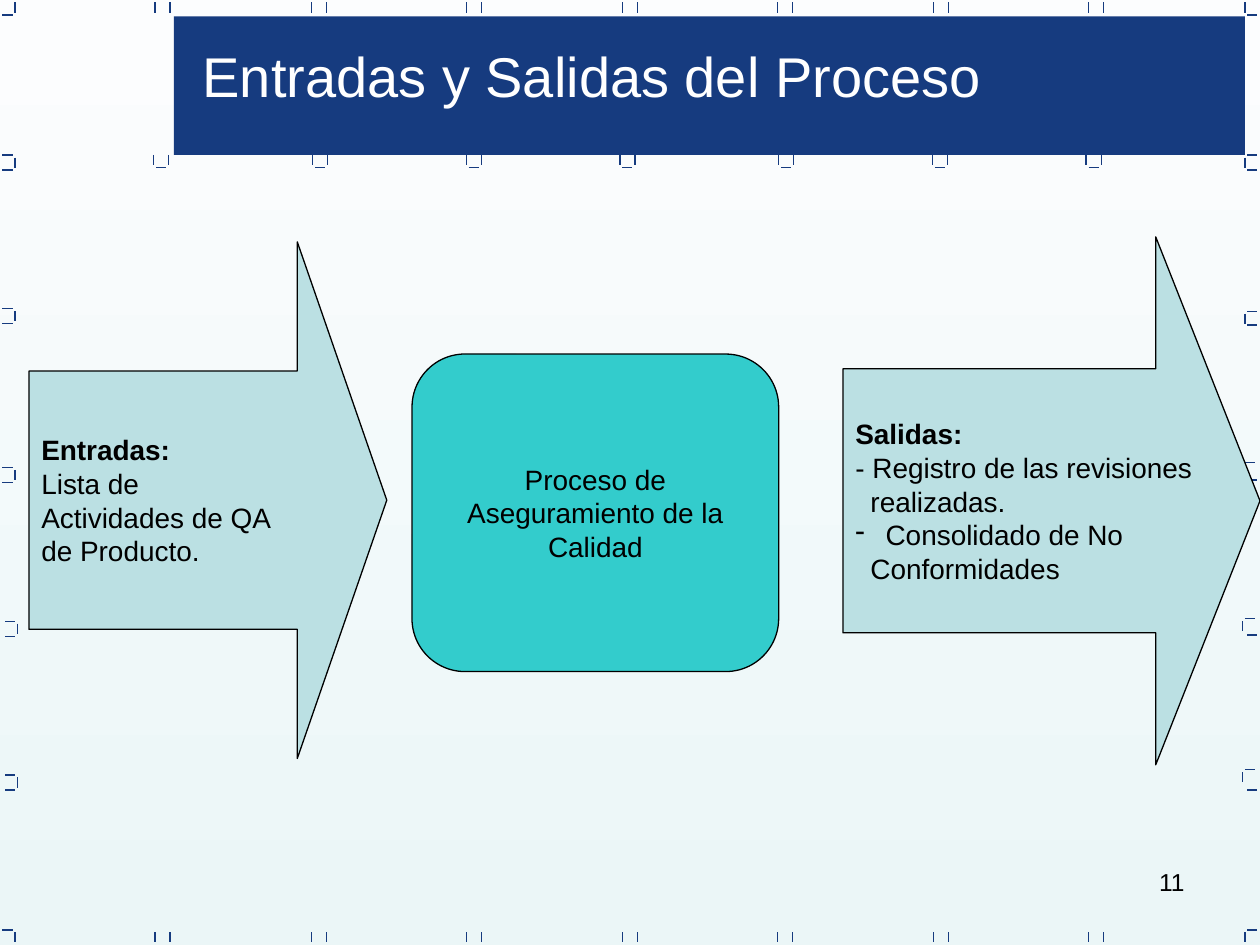
from lxml import etree
from pptx import Presentation
from pptx import util as u
from pptx.dml.color import RGBColor
from pptx.enum import shapes, text
from pptx.oxml.ns import qn

PX = 9144  # EMU in one px, 100 px to the inch
NAVY = RGBColor(0x16, 0x3B, 0x7F)
PALE = RGBColor(0xBB, 0xE0, 0xE3)
TEAL = RGBColor(0x33, 0xCC, 0xCC)
BLACK = RGBColor(0, 0, 0)
WHITE = RGBColor(0xFF, 0xFF, 0xFF)
SKY = RGBColor(0xFC, 0xFD, 0xFE)
MIST = RGBColor(0xEB, 0xF6, 0xF7)
LEFT, MID, RIGHT = text.PP_ALIGN.LEFT, text.PP_ALIGN.CENTER, text.PP_ALIGN.RIGHT
JUST = text.PP_ALIGN.JUSTIFY
ARROW = shapes.MSO_SHAPE.RIGHT_ARROW
MARK = 8  # length of a border mark
STEP = 12  # distance between paired marks


def px(*vals):
    return [u.Emu(v * PX) for v in vals]


def add_run(para, words, size, color, bold=False):
    run = para.add_run()
    run.text = words
    font = run.font
    font.name, font.size, font.bold = "Arial", u.Pt(size), bold
    font.color.rgb = color


def add_para(frame, first, words, size, color, align, head="", indent=0, bullet=""):
    para = frame.paragraphs[0] if first else frame.add_paragraph()
    para.alignment = align
    if indent:
        props = para._p.get_or_add_pPr()
        props.set("marL", str(indent * PX))
        if bullet:
            props.set("indent", str(-indent * PX))
            etree.SubElement(props, qn("a:buChar"), char=bullet)
    if head:
        add_run(para, head, size, color, True)
        para.add_line_break()
        etree.SubElement(para._p[-1], qn("a:rPr"), sz=str(size * 100))
    add_run(para, words, size, color)


def add_label(slide, box, words, size, color, align):
    frame = slide.shapes.add_textbox(*px(*box)).text_frame
    frame.word_wrap = True
    add_para(frame, True, words, size, color, align)
    return frame


def add_block(slide, kind, box, fill, adjs=(), edge=True):
    shape = slide.shapes.add_shape(kind, *px(*box))
    shape.shadow.inherit = False
    shape.fill.solid()
    shape.fill.fore_color.rgb = fill
    for i, adj in enumerate(adjs):
        shape.adjustments[i] = adj
    if edge:
        shape.line.color.rgb = BLACK
        shape.line.width = u.Pt(0.75)
    else:
        shape.line.fill.background()
    return shape


def fill_block(shape, paras, align, wrap):
    frame = shape.text_frame
    frame.word_wrap = wrap
    frame.vertical_anchor = text.MSO_ANCHOR.MIDDLE
    for i, para in enumerate(paras):
        add_para(frame, i == 0, size=16, color=BLACK, align=align, **para)


def add_mark(slide, x, y, wide=0, high=0):
    line = slide.shapes.add_connector(
        shapes.MSO_CONNECTOR.STRAIGHT, *px(x, y, x + wide, y + high))
    line.line.color.rgb = NAVY
    line.line.width = u.Pt(0.75)
    etree.SubElement(line._element.spPr, qn("a:effectLst"))


def add_dash(slide, x, y):
    add_mark(slide, x, y, wide=MARK)


def add_tick(slide, x, y):
    add_mark(slide, x, y, high=MARK)


def add_border(slide):
    # Paired ticks along the top and bottom edges
    for i in range(7):
        x = 123 + (247 * i + 1) // 2
        for y in (2, 740):
            add_tick(slide, x, y)
            add_tick(slide, x + STEP, y)
    # Cups under the banner
    for x in (122, 248, 370, 492, 618, 740, 862):
        add_tick(slide, x, 123)
        add_tick(slide, x + STEP, 123)
        add_dash(slide, x + 2, 133)
    # Brackets down the left edge, cut off at both corners
    for x, y in ((2, 0), (2, 123), (2, 245), (2, 371), (4, 493), (4, 615), (2, 738)):
        add_tick(slide, x + 10, y + 2)
        if y > 0:
            add_dash(slide, x, y)
        if y < 738:
            add_dash(slide, x, y + STEP)
    # Brackets and dashes down the right edge
    add_tick(slide, 988, 2)
    for x, y in ((988, 123), (988, 247), (986, 367), (986, 491), (986, 611), (988, 738)):
        add_tick(slide, x, y + 2)
        add_dash(slide, x + 2, y)
    for i in range(6):
        add_dash(slide, 990, 12 + 123 * i)


def main():
    deck = Presentation()
    deck.slide_width, deck.slide_height = px(1000, 750)
    slide = deck.slides.add_slide(deck.slide_layouts[6])

    # Background, fading downwards
    back = slide.background.fill
    back.gradient()
    back.gradient_angle = 270
    for stop, color in zip(back.gradient_stops, (SKY, MIST)):
        stop.color.rgb = color

    # Page number, banner and border
    add_label(slide, (717, 683, 233, 52), "11", 14, BLACK, RIGHT)
    add_block(slide, shapes.MSO_SHAPE.RECTANGLE, (138, 13, 850, 110), NAVY, edge=False)
    add_border(slide)

    # Title
    title = add_label(slide, (151, 28, 680, 64), "Entradas y Salidas del Proceso",
                      32, WHITE, LEFT)
    title.auto_size = text.MSO_AUTO_SIZE.SHAPE_TO_FIT_TEXT

    # Inputs, process, outputs
    inputs = add_block(slide, ARROW, (23, 192, 284, 410), PALE, (0.5, 0.25))
    fill_block(inputs, [
        dict(head="Entradas:", words="Lista de"),
        dict(words="Actividades de QA"),
        dict(words="de Producto."),
    ], LEFT, False)

    process = add_block(slide, shapes.MSO_SHAPE.ROUNDED_RECTANGLE,
                        (327, 281, 291, 252), TEAL, (0.167,))
    fill_block(process, [dict(words="Proceso de Aseguramiento de la Calidad")], MID, True)

    outputs = add_block(slide, ARROW, (669, 188, 331, 419), PALE, (0.5, 0.25))
    fill_block(outputs, [
        dict(head="Salidas:", words="- Registro de las revisiones"),
        dict(words="realizadas.", indent=12),
        dict(words="Consolidado de No", indent=24, bullet="-"),
        dict(words="Conformidades", indent=12),
    ], JUST, False)

    deck.save("out.pptx")


if __name__ == "__main__":
    main()
